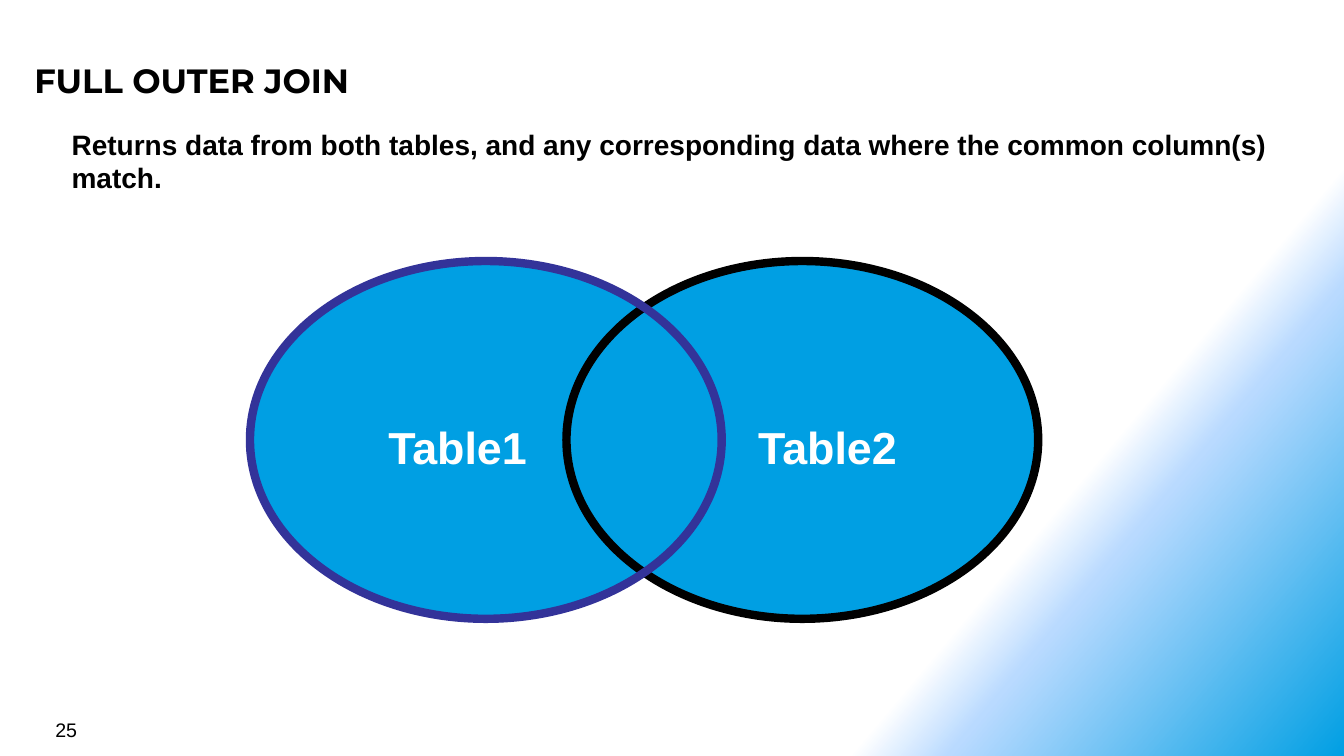
import math
import lxml.etree
import pptx
import pptx.util
import pptx.dml.color
import pptx.enum.shapes
import pptx.enum.text
import pptx.oxml

RGB = pptx.dml.color.RGBColor
BLACK = RGB(0x00, 0x00, 0x00)
WHITE = RGB(0xFF, 0xFF, 0xFF)
SKY = RGB(0x00, 0x9F, 0xE3)
PALE = RGB(0xB9, 0xDA, 0xFF)
NAVY = RGB(0x33, 0x33, 0x99)

WIDE = pptx.util.Inches(13.33)
HIGH = pptx.util.Inches(7.5)
COL = WIDE / 100
ROW = HIGH / 100

OVAL = pptx.enum.shapes.MSO_SHAPE.OVAL
RECT = pptx.enum.shapes.MSO_SHAPE.RECTANGLE
LEFT = pptx.enum.text.PP_ALIGN.LEFT
MID = pptx.enum.text.PP_ALIGN.CENTER
STOPS = [(75, WHITE, 100), (80, PALE, 50), (100, SKY, 100)]

HEAD = {"name": "Montserrat", "size": pptx.util.Pt(24), "bold": True}
BODY = {"name": "Arial", "size": pptx.util.Pt(20), "bold": True}
LABEL = {"name": "Arial", "size": pptx.util.Pt(32), "bold": True}
PAGE = {"name": "Arial", "size": pptx.util.Pt(14), "bold": False}

SPAN, RISE = 35.1, 47.33
LEFT_X, RIGHT_X, TOP = 18.6, 42.15, 34.53


def grid(x, y, w, h):
    return int(x * COL), int(y * ROW), int(w * COL), int(h * ROW)


def shade(slide):
    fill = slide.background.fill
    fill.gradient()
    fill.gradient_angle = 0
    grad = slide.background._cSld.bg.bgPr.find(pptx.oxml.ns.qn("a:gradFill"))
    grad.find(pptx.oxml.ns.qn("a:lin")).set("ang", str(40 * 60000))
    stops = grad.find(pptx.oxml.ns.qn("a:gsLst"))
    for old in list(stops):
        stops.remove(old)
    for place, tint, solid in STOPS:
        stop = lxml.etree.SubElement(stops, pptx.oxml.ns.qn("a:gs"), pos=str(place * 1000))
        color = lxml.etree.SubElement(stop, pptx.oxml.ns.qn("a:srgbClr"), val=str(tint))
        if solid < 100:
            lxml.etree.SubElement(color, pptx.oxml.ns.qn("a:alpha"), val=str(solid * 1000))


def write(shape, words, font, tint, align, inset):
    frame = shape.text_frame
    side, edge = (pptx.util.Inches(n) for n in inset)
    look = {"word_wrap": True, "margin_left": side, "margin_right": side,
            "margin_top": edge, "margin_bottom": edge,
            "vertical_anchor": pptx.enum.text.MSO_ANCHOR.TOP}
    for key, value in look.items():
        setattr(frame, key, value)
    line = frame.paragraphs[0]
    line.alignment = align
    run = line.add_run()
    run.text = words
    for key, value in font.items():
        setattr(run.font, key, value)
    run.font.color.rgb = tint


def text(slide, box, words, font, inset=(0.08, 0.08)):
    write(slide.shapes.add_textbox(*grid(*box)), words, font, BLACK, LEFT, inset)


def paint(shape, fill, line, width):
    shape.shadow.inherit = False
    if fill is None:
        shape.fill.background()
    else:
        shape.fill.solid()
        shape.fill.fore_color.rgb = fill
    if line is None:
        shape.line.fill.background()
    else:
        shape.line.color.rgb = line
        shape.line.width = pptx.util.Pt(width)


def ring(slide, x, fill, line):
    shape = slide.shapes.add_shape(OVAL, *grid(x, TOP, SPAN, RISE))
    paint(shape, fill, line, 6)


def label(slide, x, w, words):
    shape = slide.shapes.add_shape(RECT, *grid(x, 54.8, w, 8.53))
    paint(shape, SKY, None, 0)
    write(shape, words, LABEL, WHITE, MID, (0.1, 0.05))


def moon(slide):
    mid_x, mid_y = LEFT_X + SPAN / 2, TOP + RISE / 2
    arc = [math.radians(turn) for turn in range(43, 318, 2)]
    dots = [(mid_x + SPAN / 2 * math.cos(a), mid_y + RISE / 2 * math.sin(a)) for a in arc]
    dots += [(45.8, 48.4), (44.3, 58), (45.6, 67.1)]
    dots = [(int(x * COL), int(y * ROW)) for x, y in dots]
    form = slide.shapes.build_freeform(*dots[0])
    form.add_line_segments(dots[1:], close=True)
    paint(form.convert_to_shape(), SKY, BLACK, 0.75)


def main():
    deck = pptx.Presentation()
    deck.slide_width, deck.slide_height = WIDE, HIGH
    slide = deck.slides.add_slide(deck.slide_layouts[6])
    shade(slide)
    text(slide, (4.73, 15.73, 91.05, 11.07),
         "Returns data from both tables, and any corresponding data "
         "where the common column(s) match.", BODY)
    text(slide, (1.95, 6.8, 91.95, 7.33), "FULL OUTER JOIN", HEAD)
    moon(slide)
    ring(slide, RIGHT_X, SKY, BLACK)
    label(slide, 54.83, 13.5, "Table2")
    label(slide, 27.53, 13.05, "Table1")
    ring(slide, LEFT_X, None, NAVY)
    text(slide, (3.38, 94.27, 23.33, 4.4), "25", PAGE, (0.1, 0.05))
    deck.save("out.pptx")


if __name__ == "__main__":
    main()
